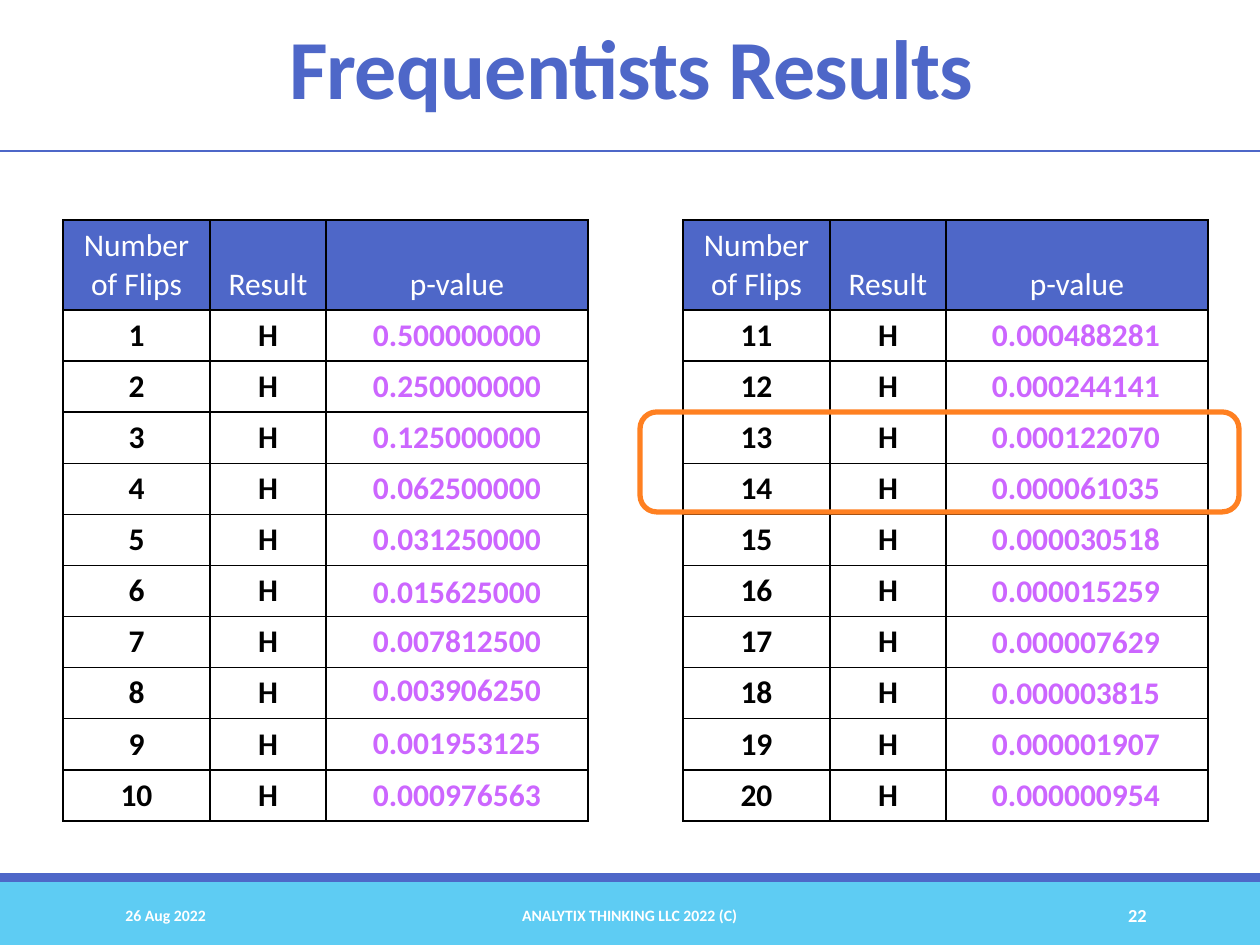
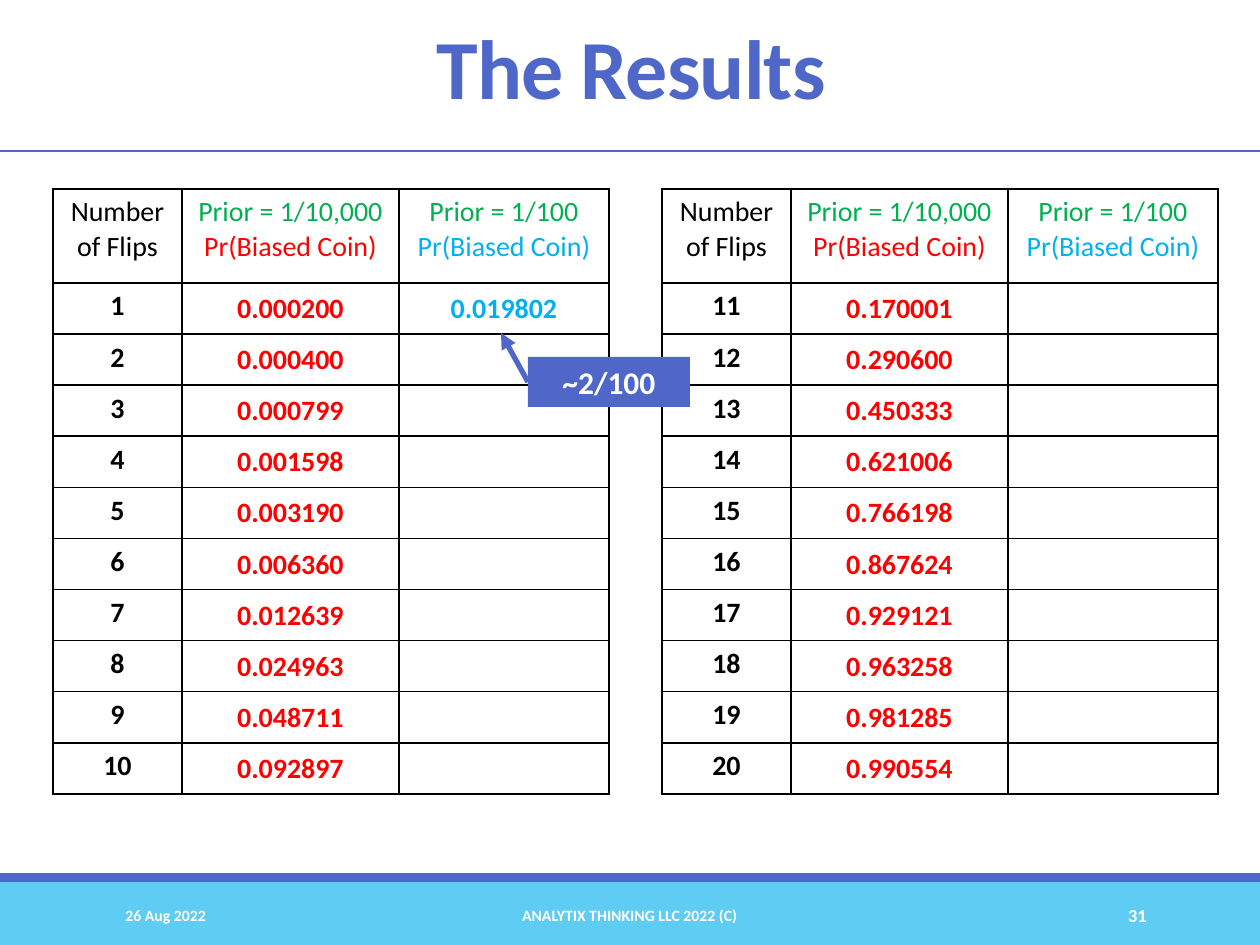
import pptx
import pptx.dml.color
import pptx.enum.shapes
import pptx.enum.text
import pptx.oxml
import pptx.oxml.ns
import pptx.util

RGBColor = pptx.dml.color.RGBColor
BLUE = RGBColor(0x4E, 0x67, 0xC8)
SKY = RGBColor(0x5E, 0xCC, 0xF3)
PURPLE = RGBColor(0xCC, 0x66, 0xFF)
ORANGE = RGBColor(0xFF, 0x80, 0x21)
GREEN = RGBColor(0x00, 0xB0, 0x50)
RED = RGBColor(0xFF, 0x00, 0x00)
CYAN = RGBColor(0x00, 0xB0, 0xF0)
BLACK = RGBColor(0, 0, 0)
WHITE = RGBColor(0xFF, 0xFF, 0xFF)

FONT = "Calibri"
EMU_PER_PX = 914400 / 126
BODY_HEIGHT = 511
ROW_COUNT = 10

ALIGN = pptx.enum.text.PP_ALIGN
ANCHOR = pptx.enum.text.MSO_ANCHOR
SHAPE = pptx.enum.shapes.MSO_SHAPE

P_VALUES = [
    "0.500000000", "0.250000000", "0.125000000", "0.062500000", "0.031250000",
    "0.015625000", "0.007812500", "0.003906250", "0.001953125", "0.000976563",
    "0.000488281", "0.000244141", "0.000122070", "0.000061035", "0.000030518",
    "0.000015259", "0.000007629", "0.000003815", "0.000001907", "0.000000954",
]
BIASED_COIN = [
    "0.000200", "0.000400", "0.000799", "0.001598", "0.003190",
    "0.006360", "0.012639", "0.024963", "0.048711", "0.092897",
    "0.170001", "0.290600", "0.450333", "0.621006", "0.766198",
    "0.867624", "0.929121", "0.963258", "0.981285", "0.990554",
]


def px(length):
    return pptx.util.Emu(round(length * EMU_PER_PX))


def apply(target, values):
    for name, value in values.items():
        setattr(target, name, value)


def write(frame, lines, size, bold=True, align=ALIGN.CENTER):
    for index, (text, color) in enumerate(lines):
        paragraph = frame.paragraphs[0] if index == 0 else frame.add_paragraph()
        paragraph.alignment = align
        run = paragraph.add_run()
        run.text = text
        apply(run.font, {"name": FONT, "size": pptx.util.Pt(size), "bold": bold})
        run.font.color.rgb = color


def add_text(slide, box, text, color, size, align=ALIGN.CENTER, anchor=ANCHOR.TOP):
    shape = slide.shapes.add_textbox(*map(px, box))
    apply(shape.text_frame, {"word_wrap": True, "vertical_anchor": anchor})
    write(shape.text_frame, [(text, color)], size, align=align)
    return shape


def add_block(slide, box, color):
    shape = slide.shapes.add_shape(SHAPE.RECTANGLE, *map(px, box))
    shape.shadow.inherit = False
    shape.fill.solid()
    shape.fill.fore_color.rgb = color
    shape.line.fill.background()
    return shape


def add_line(slide, start, end, width, arrow=False):
    line = slide.shapes.add_connector(
        pptx.enum.shapes.MSO_CONNECTOR.STRAIGHT, *map(px, start + end))
    line.line.color.rgb = BLUE
    line.line.width = pptx.util.Pt(width)
    properties = line._element.spPr
    if arrow:
        tail = pptx.oxml.parse_xml(
            f'<a:tailEnd {pptx.oxml.ns.nsdecls("a")} type="triangle"/>')
        line.line._get_or_add_ln().append(tail)
    properties.append(pptx.oxml.parse_xml(
        f'<a:effectLst {pptx.oxml.ns.nsdecls("a")}/>'))


def add_title(slide, text):
    shape = add_text(slide, (111, 20, 1040, 108), text, BLUE, 48,
                     anchor=ANCHOR.MIDDLE)
    paragraph = shape.text_frame.paragraphs[0]
    paragraph.line_spacing = 0.85
    paragraph.runs[0]._r.get_or_add_rPr().set("spc", "-50")


def add_result_slide(presentation, title, number):
    slide = presentation.slides.add_slide(presentation.slide_layouts[6])
    add_block(slide, (0, 882, 1260, 63), SKY)
    add_block(slide, (0, 873, 1260, 9), BLUE)
    add_line(slide, (0, 151), (1260, 151), 1)
    add_title(slide, title)
    footers = [
        (113, 256, "26 Aug 2022", 9, ALIGN.LEFT),
        (380, 499, "ANALYTIX THINKING LLC 2022 (C)", 9, ALIGN.CENTER),
        (1023, 136, number, 10.5, ALIGN.RIGHT),
    ]
    for left, width, text, size, align in footers:
        add_text(slide, (left, 890, width, 50), text, WHITE, size, align,
                 ANCHOR.MIDDLE)
    return slide


def format_cell(cell, fill):
    properties = cell._tc.get_or_add_tcPr()
    for side in ("lnL", "lnR", "lnT", "lnB"):
        properties.append(pptx.oxml.parse_xml(
            f'<a:{side} {pptx.oxml.ns.nsdecls("a")} w="12700"><a:solidFill>'
            f'<a:srgbClr val="{BLACK}"/></a:solidFill></a:{side}>'))
    cell.fill.solid()
    cell.fill.fore_color.rgb = fill


def add_flip_table(slide, left, top, widths, headers, header_format, rows, colors,
                   size, value_format):
    header_height = header_format["height"]
    frame = slide.shapes.add_table(
        ROW_COUNT + 1, len(widths), px(left), px(top), px(sum(widths)),
        px(header_height + BODY_HEIGHT))
    table = frame.table
    apply(table, {"first_row": False, "horz_banding": False})
    for column, width in zip(table.columns, widths):
        column.width = px(width)
    for row in table.rows:
        row.height = px(BODY_HEIGHT / ROW_COUNT)
    table.rows[0].height = px(header_height)
    for column, lines in enumerate(headers):
        cell = table.cell(0, column)
        format_cell(cell, header_format["fill"])
        cell.vertical_anchor = header_format["anchor"]
        write(cell.text_frame, lines, size, bold=False)
    for row, texts in enumerate(rows, 1):
        for column, (text, color) in enumerate(zip(texts, colors)):
            cell = table.cell(row, column)
            format_cell(cell, WHITE)
            if text:
                write(cell.text_frame, [(text, color)], size)
                if column > 0:
                    apply(cell, value_format)


def build_frequentist_slide(presentation):
    slide = add_result_slide(presentation, "Frequentists Results", "22")
    headers = [[(text, WHITE)] for text in ("Number of Flips", "Result", "p-value")]
    header_format = {"height": 90, "fill": BLUE, "anchor": ANCHOR.BOTTOM}
    in_table = 5
    rows = [(str(flip), "H", value if flip <= in_table else "")
            for flip, value in enumerate(P_VALUES, 1)]
    for left, first in ((63, 0), (683, ROW_COUNT)):
        add_flip_table(slide, left, 220, (147, 116, 262), headers, header_format,
                       rows[first:first + ROW_COUNT], (BLACK, BLACK, PURPLE), 18, {})
    left_tops = [566, 615, 664, 717, 769]
    right_tops = [309 + round(row * BODY_HEIGHT / ROW_COUNT)
                  for row in range(ROW_COUNT)]
    places = [(336, top) for top in left_tops] + [(955, top) for top in right_tops]
    for (left, top), value in zip(places, P_VALUES[in_table:]):
        add_text(slide, (left, top, 242, 51), value, PURPLE, 18)
    highlight = slide.shapes.add_shape(
        SHAPE.ROUNDED_RECTANGLE, *map(px, (640, 412, 599, 100)))
    highlight.shadow.inherit = False
    highlight.fill.background()
    highlight.line.color.rgb = ORANGE
    highlight.line.width = pptx.util.Pt(3)


def build_bayesian_slide(presentation):
    slide = add_result_slide(presentation, "The Results", "31")
    headers = [
        [("Number of Flips", BLACK)],
        [("Prior = 1/10,000", GREEN), ("Pr(Biased Coin)", RED)],
        [("Prior = 1/100", GREEN), ("Pr(Biased Coin)", CYAN)],
    ]
    header_format = {"height": 94, "fill": WHITE, "anchor": ANCHOR.TOP}
    value_format = {"vertical_anchor": ANCHOR.MIDDLE, "margin_left": px(1),
                    "margin_right": px(1), "margin_top": px(1), "margin_bottom": 0}
    rows = [(str(flip), value, "0.019802" if flip == 1 else "")
            for flip, value in enumerate(BIASED_COIN, 1)]
    for left, first in ((53, 0), (662, ROW_COUNT)):
        add_flip_table(slide, left, 189, (129, 217, 210), headers, header_format,
                       rows[first:first + ROW_COUNT], (BLACK, RED, CYAN), 16,
                       value_format)
    add_line(slide, (528, 382), (501, 333), 3, arrow=True)
    callout = add_block(slide, (528, 357, 162, 50), BLUE)
    apply(callout.text_frame, {"word_wrap": True, "vertical_anchor": ANCHOR.TOP})
    write(callout.text_frame, [("~2/100", WHITE)], 18)


def main():
    presentation = pptx.Presentation()
    apply(presentation, {"slide_width": px(1260), "slide_height": px(945)})
    build_frequentist_slide(presentation)
    build_bayesian_slide(presentation)
    presentation.save("out.pptx")


if __name__ == "__main__":
    main()
